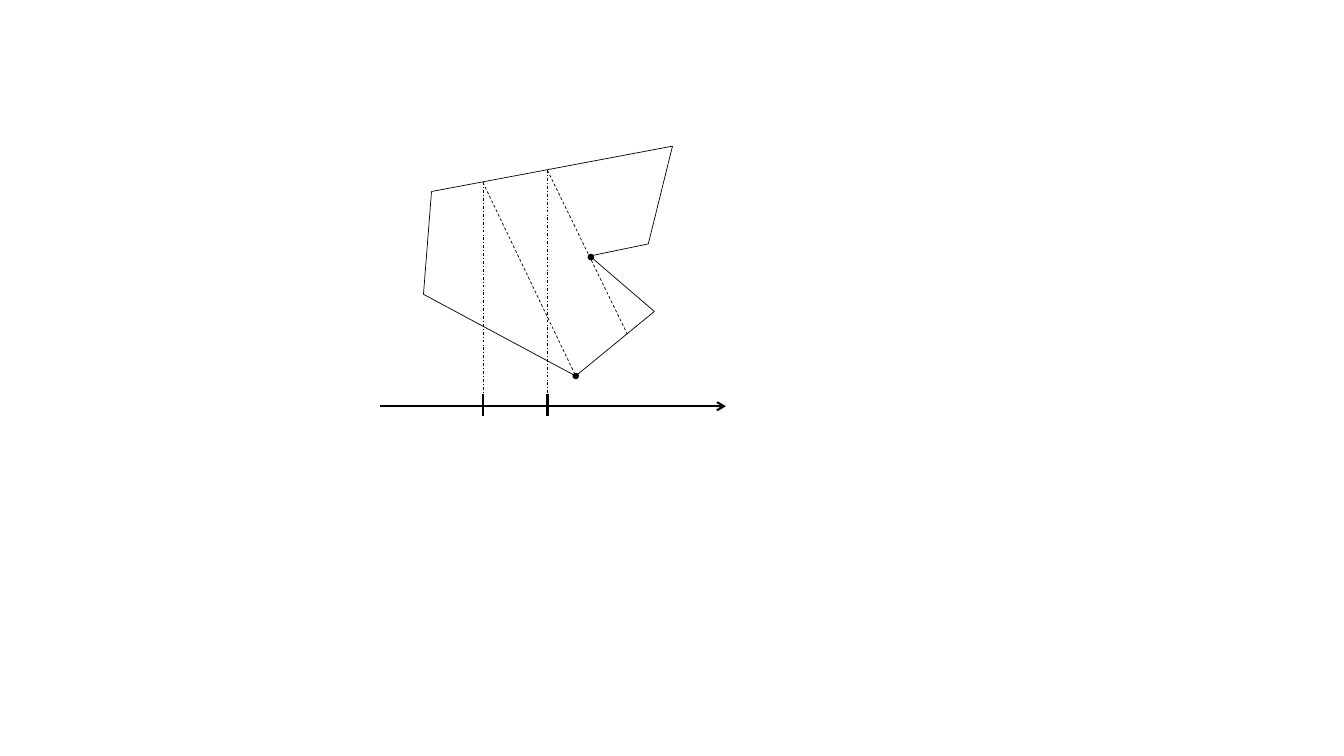
"""Draw a polygon with sweep lines projected onto an axis."""
from dataclasses import dataclass

from lxml.etree import SubElement
from pptx import Presentation
from pptx.dml.color import RGBColor
from pptx.enum.dml import MSO_LINE
from pptx.enum.shapes import MSO_CONNECTOR, MSO_SHAPE
from pptx.oxml.ns import qn
from pptx.util import Inches, Pt


@dataclass(frozen=True)
class Theme:
    """Hold the colours and line widths of the drawing."""
    ink: RGBColor = RGBColor(0, 0, 0)
    thin: float = 0.5
    dot_outline: float = 1
    thick: float = 1.5


THEME = Theme()
POLYGON = [(4.28, 1.9), (6.67, 1.45), (6.43, 2.42), (5.85, 2.54),
           (6.49, 3.09), (5.71, 3.73), (4.2, 2.92)]
SWEEPS = [((4.79, 1.81), (5.71, 3.73)), ((5.43, 1.69), (6.22, 3.31))]
EVENT_VERTICES = [(5.71, 3.73), (5.86, 2.55)]
DOT_SIZE = 0.05
AXIS_LEFT, AXIS_RIGHT, AXIS_Y = 3.77, 7.2, 4.03
TICK_TOP, TICK_BOTTOM = 3.91, 4.13


def add_line(slide, start, end, width=THEME.thin, dash=None, arrow=False):
    """Add a straight line between two points given in inches."""
    connector = slide.shapes.add_connector(
        MSO_CONNECTOR.STRAIGHT, *map(Inches, (*start, *end)))
    connector.line.color.rgb = THEME.ink
    connector.line.width = Pt(width)
    if dash is not None:
        connector.line.dash_style = dash
    if arrow:
        SubElement(connector.line._get_or_add_ln(), qn("a:tailEnd"), type="arrow")
    SubElement(connector._element.spPr, qn("a:effectLst"))


def add_dot(slide, center):
    """Add a small filled dot centred on a point."""
    left, top = (Inches(value - DOT_SIZE / 2) for value in center)
    shape = slide.shapes.add_shape(
        MSO_SHAPE.OVAL, left, top, Inches(DOT_SIZE), Inches(DOT_SIZE))
    shape.shadow.inherit = False
    shape.fill.solid()
    shape.fill.fore_color.rgb = THEME.ink
    shape.line.color.rgb = THEME.ink
    shape.line.width = Pt(THEME.dot_outline)


def add_polygon(slide, vertices):
    """Add the closed outline edge by edge."""
    for start, end in zip(vertices, vertices[1:] + vertices[:1]):
        add_line(slide, start, end)


def add_sweep(slide, start, end):
    """Add a sweep line, its projection and its tick on the axis."""
    x = start[0]
    add_line(slide, start, end, dash=MSO_LINE.DASH)
    add_line(slide, start, (x, AXIS_Y), dash=MSO_LINE.DASH_DOT)
    add_line(slide, (x, TICK_TOP), (x, TICK_BOTTOM), THEME.thick)


def main():
    """Build the slide and save the presentation."""
    presentation = Presentation()
    presentation.slide_width = Inches(13.33)
    presentation.slide_height = Inches(7.5)
    slide = presentation.slides.add_slide(presentation.slide_layouts[6])
    add_polygon(slide, POLYGON)
    add_line(slide, (AXIS_LEFT, AXIS_Y), (AXIS_RIGHT, AXIS_Y),
             THEME.thick, arrow=True)
    for start, end in SWEEPS:
        add_sweep(slide, start, end)
    for vertex in EVENT_VERTICES:
        add_dot(slide, vertex)
    presentation.save("out.pptx")


if __name__ == "__main__":
    main()
